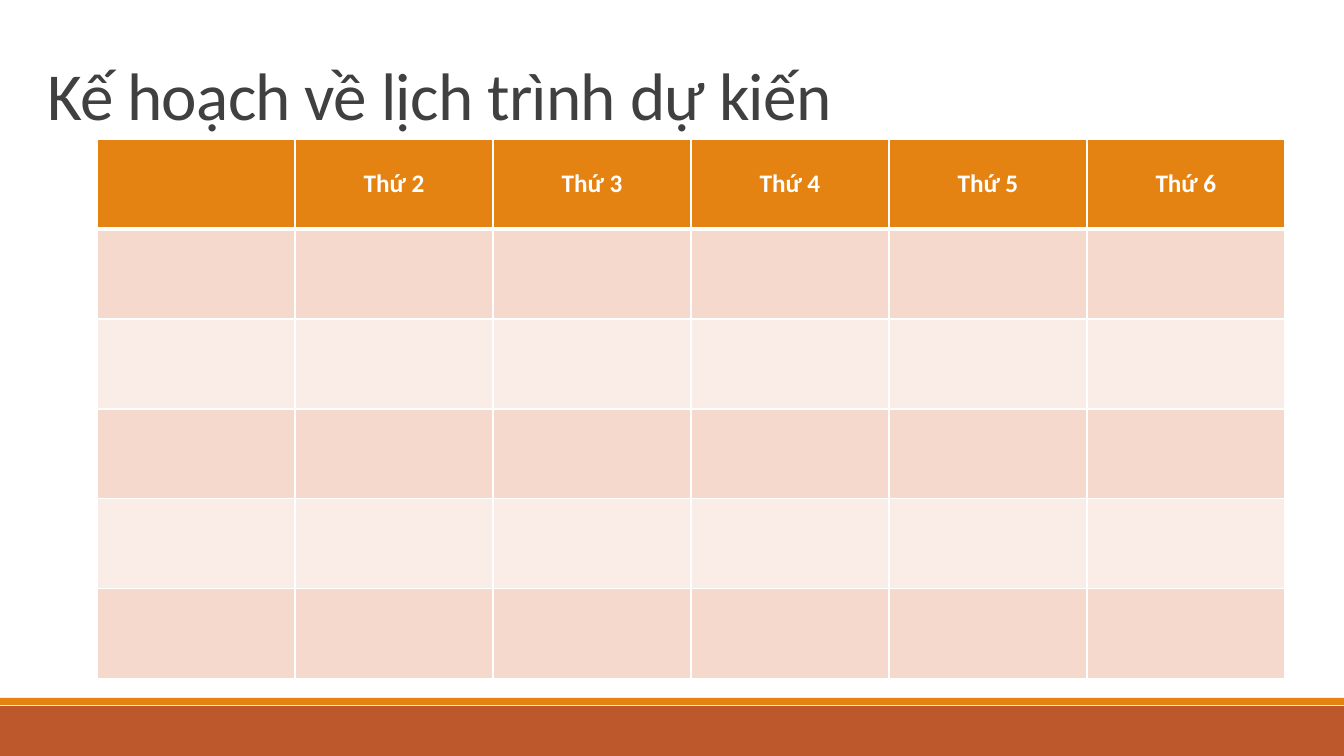
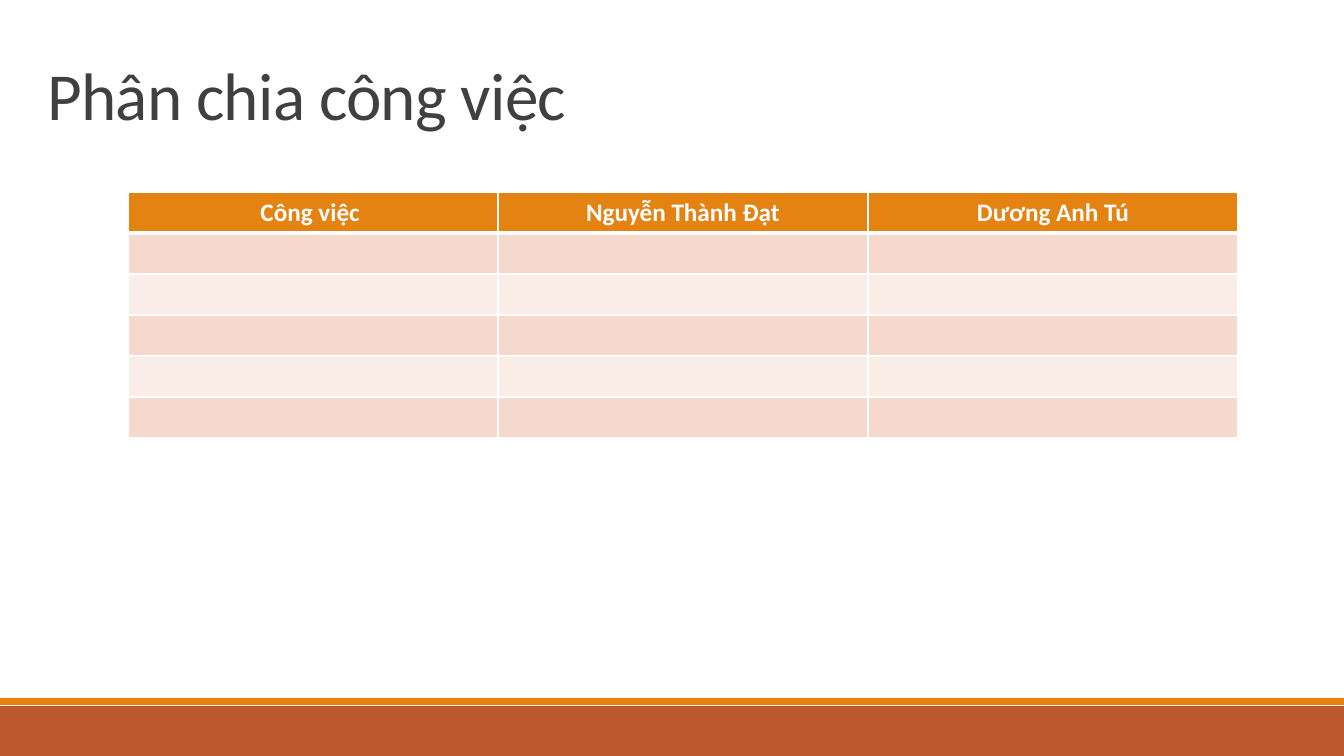
from dataclasses import dataclass

from lxml import etree
from pptx import Presentation
from pptx.dml.color import RGBColor
from pptx.enum.shapes import MSO_CONNECTOR, MSO_SHAPE
from pptx.enum.text import MSO_ANCHOR, MSO_AUTO_SIZE, PP_ALIGN
from pptx.oxml.ns import qn
from pptx.util import Pt

RECTANGLE = MSO_SHAPE.RECTANGLE
STRAIGHT = MSO_CONNECTOR.STRAIGHT
LEFT, CENTER = PP_ALIGN.LEFT, PP_ALIGN.CENTER
MIDDLE, BOTTOM = MSO_ANCHOR.MIDDLE, MSO_ANCHOR.BOTTOM
NO_AUTO_SIZE = MSO_AUTO_SIZE.NONE

EMU_PER_PX = 914400 / 100.8
SLIDE_WIDTH, SLIDE_HEIGHT = 1344, 756
TITLE_ONLY_LAYOUT = 5
BODY_ROWS = 5


@dataclass(frozen=True)
class Theme:
    font: str = "Calibri"
    title_size: int = 48
    table_size: int = 18
    title_color: str = "404040"
    white: str = "FFFFFF"
    orange: str = "E48312"
    rust: str = "BD582C"
    rule: str = "808080"
    band_dark: str = "F5D9CC"
    band_light: str = "FAEDE7"


THEME = Theme()

SLIDES = [
    {
        "title": "Kế hoạch về lịch trình dự kiến",
        "headers": ["", *(f"Thứ {day}" for day in range(2, 7))],
        "box": (97, 139, 1188, 540),
    },
    {
        "title": "Phân chia công việc",
        "headers": ["Công việc ", "Nguyễn Thành Đạt", "Dương Anh Tú"],
        "box": (128, 192, 1110, 246),
    },
]


def px(length):
    return round(length * EMU_PER_PX)


def rgb(color):
    return RGBColor.from_string(color)


def set_attributes(target, values):
    for name, value in values.items():
        setattr(target, name, value)


def format_font(font, size, color, bold):
    set_attributes(font, {"name": THEME.font, "size": Pt(size), "bold": bold})
    font.color.rgb = rgb(color)


def add_band(slide, top, height, color):
    band = slide.shapes.add_shape(RECTANGLE, 0, px(top), px(SLIDE_WIDTH), px(height))
    band.shadow.inherit = False
    band.fill.solid()
    band.fill.fore_color.rgb = rgb(color)
    band.line.fill.background()
    return band


def add_rule(slide, left, right, top):
    rule = slide.shapes.add_connector(STRAIGHT, px(left), px(top), px(right), px(top))
    rule.line.color.rgb = rgb(THEME.rule)
    rule.line.width = Pt(0.5)
    etree.SubElement(rule.element.spPr, qn("a:effectLst"))
    return rule


def decorate_master(master, slide):
    """Draw the shared bands and rule on a slide, then move them to the master."""
    decorations = [
        add_band(slide, 706, 50, THEME.rust),
        add_band(slide, 698, 7, THEME.orange),
        add_rule(slide, 132, 1231, 192),
    ]
    tree = master.shapes.element
    for index, shape in enumerate(decorations):
        shape.element.xpath(".//p:cNvPr")[0].set("id", str(100 + index))
        tree.insert(2 + index, shape.element)


def fill_title(title, text, box):
    set_attributes(title, dict(zip(("left", "top", "width", "height"), map(px, box))))
    frame = title.text_frame
    frame.text = text
    set_attributes(frame, {"vertical_anchor": BOTTOM, "auto_size": NO_AUTO_SIZE,
                           "word_wrap": True})
    paragraph = frame.paragraphs[0]
    set_attributes(paragraph, {"alignment": LEFT, "line_spacing": 0.85})
    run = paragraph.runs[0]
    format_font(run.font, THEME.title_size, THEME.title_color, False)
    run.font._element.set("spc", "-50")


def set_borders(cell, widths):
    """Give the cell white borders; widths maps an edge (L, R, T, B) to points."""
    properties = cell._tc.get_or_add_tcPr()
    for edge, width in widths.items():
        line = etree.SubElement(properties, qn(f"a:ln{edge}"), w=str(Pt(width)))
        fill = etree.SubElement(line, qn("a:solidFill"))
        etree.SubElement(fill, qn("a:srgbClr"), val=THEME.white)


def format_cell(cell, row):
    is_header = row == 0
    set_borders(cell, {"L": 1, "R": 1, "T": 3 if row == 1 else 1,
                       "B": 3 if is_header else 1})
    band = THEME.band_dark if row % 2 else THEME.band_light
    cell.fill.solid()
    cell.fill.fore_color.rgb = rgb(THEME.orange if is_header else band)
    cell.vertical_anchor = MIDDLE
    paragraph = cell.text_frame.paragraphs[0]
    paragraph.alignment = CENTER
    color = THEME.white if is_header else THEME.title_color
    format_font(paragraph.font, THEME.table_size, color, is_header)
    for run in paragraph.runs:
        format_font(run.font, THEME.table_size, color, is_header)


def add_grid(slide, headers, box):
    """Add a table with equal rows and columns, its body left blank."""
    left, top, width, height = map(px, box)
    row_count = BODY_ROWS + 1
    table = slide.shapes.add_table(row_count, len(headers), left, top, width, height).table
    for column in table.columns:
        column.width = width // len(headers)
    for row_index, row in enumerate(table.rows):
        row.height = height // row_count
        for column_index, cell in enumerate(row.cells):
            if row_index == 0 and headers[column_index]:
                cell.text = headers[column_index]
            format_cell(cell, row_index)


def add_table_slide(presentation, title, headers, box):
    slide = presentation.slides.add_slide(presentation.slide_layouts[TITLE_ONLY_LAYOUT])
    fill_title(slide.shapes.title, title, (37, 56, 841, 83))
    add_grid(slide, headers, box)
    return slide


def main():
    presentation = Presentation()
    presentation.slide_width = px(SLIDE_WIDTH)
    presentation.slide_height = px(SLIDE_HEIGHT)
    slides = [add_table_slide(presentation, **content) for content in SLIDES]
    decorate_master(presentation.slide_master, slides[0])
    presentation.save("out.pptx")


if __name__ == "__main__":
    main()
